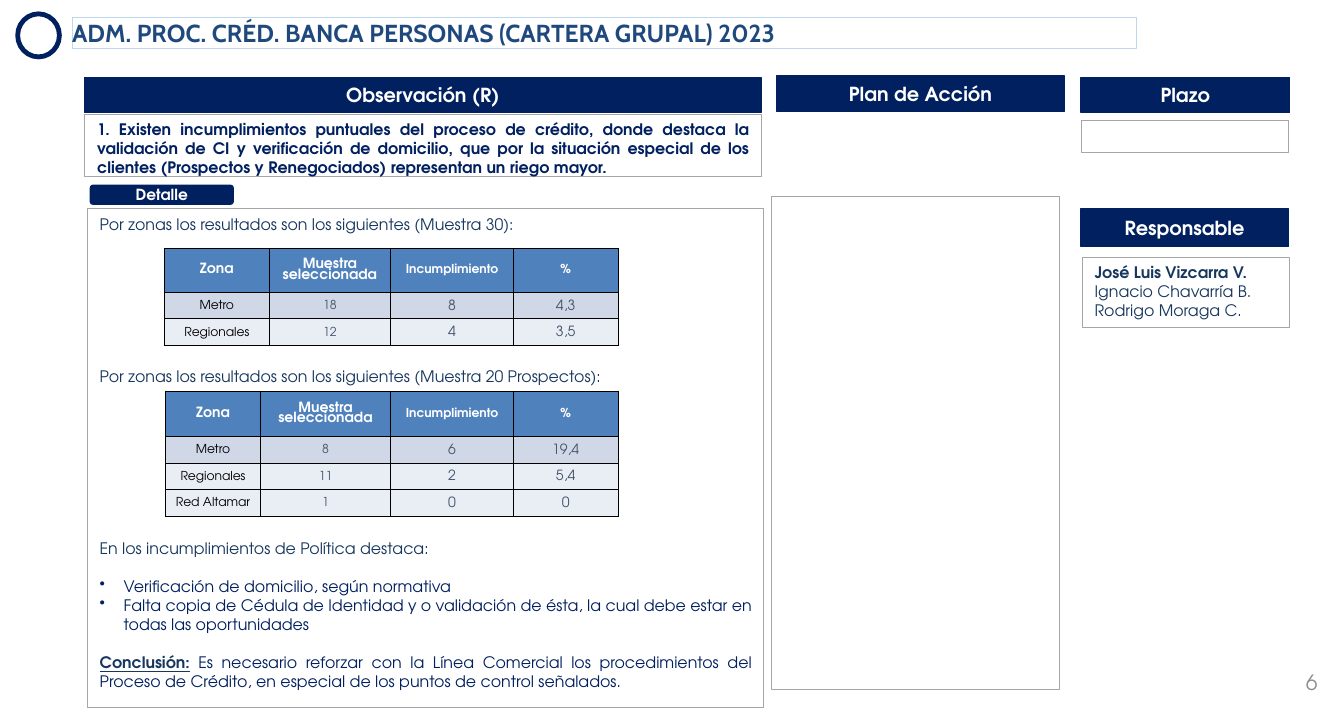
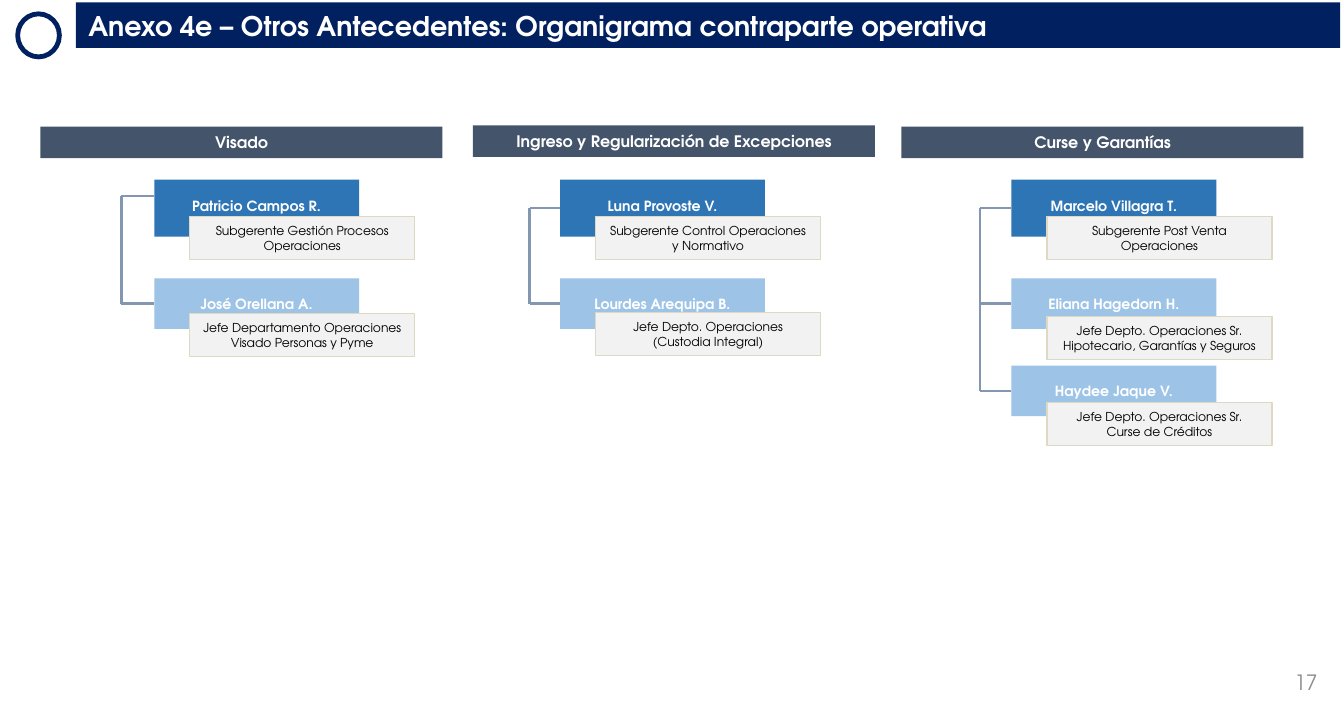
import pptx
import pptx.util
import pptx.dml.color
import pptx.enum.shapes
import pptx.enum.text
import pptx.oxml
import pptx.oxml.ns
import lxml.etree

Inches = pptx.util.Inches
Pt = pptx.util.Pt
SHAPE = pptx.enum.shapes.MSO_SHAPE
ALIGN = pptx.enum.text.PP_ALIGN
ANCHOR = pptx.enum.text.MSO_ANCHOR
FACE = "TeX Gyre Adventor"
LINE = 10.82
PAD = (0.1, 0.05, 0.1, 0.05)
FLAT = (0.1, 0, 0.1, 0)
HUES = {
    "navy": "002060", "ink": "17375E", "title": "1F497D", "white": "FFFFFF",
    "black": "000000", "edge": "A6A6A6", "sky": "BDD7EE", "page": "8C8C8C",
    "head": "4F81BD", "band": "D0D8E8", "pale": "E9EDF4", "slate": "44546A",
    "boss": "2E75B6", "staff": "9DC3E6", "note": "F2F2F2", "sand": "DDD9C3",
    "wire": "8497B0",
}


def hue(name):
    return pptx.dml.color.RGBColor.from_string(HUES[name])


def style(font, size, ink, bold=False, face=FACE):
    font.name = face
    font.size = Pt(size)
    font.bold = bold
    font.color.rgb = hue(ink)


def setup(frame, pad=PAD, anchor=ANCHOR.MIDDLE):
    frame.word_wrap = True
    frame.vertical_anchor = anchor
    (frame.margin_left, frame.margin_top,
     frame.margin_right, frame.margin_bottom) = map(Inches, pad)


def write(frame, lines, size, ink, bold=False, align=ALIGN.CENTER, face=FACE):
    for i, line in enumerate(lines):
        para = frame.paragraphs[0] if i == 0 else frame.add_paragraph()
        para.text = line
        para.alignment = align
        style(para.font, size, ink, bold, face)


def box(slide, area, fill=None, line=None, width=0.25, kind=SHAPE.RECTANGLE):
    shape = slide.shapes.add_shape(kind, *map(Inches, area))
    shape.shadow.inherit = False
    if fill:
        shape.fill.solid()
        shape.fill.fore_color.rgb = hue(fill)
    else:
        shape.fill.background()
    if line:
        shape.line.color.rgb = hue(line)
        shape.line.width = Pt(width)
    else:
        shape.line.fill.background()
    setup(shape.text_frame)
    return shape


def panel(slide, area):
    shape = box(slide, area, "white", "edge")
    setup(shape.text_frame, anchor=ANCHOR.TOP)
    return shape.text_frame


def band(slide, area, text):
    shape = box(slide, area, "navy", "navy", 0.75)
    setup(shape.text_frame, FLAT)
    write(shape.text_frame, [text], 11, "white", True)


def base(deck, page):
    slide = deck.slides.add_slide(deck.slide_layouts[6])
    box(slide, (0.14, 0.11, 0.33, 0.34), None, "navy", 2.75, SHAPE.OVAL)
    label = slide.shapes.add_textbox(*map(Inches, (9.95, 5.24, 0.57, 0.3)))
    setup(label.text_frame)
    write(label.text_frame, [page], 12, "page", align=ALIGN.RIGHT)
    return slide


def border(cell):
    props = cell._tc.get_or_add_tcPr()
    for i, side in enumerate(("lnL", "lnR", "lnT", "lnB")):
        props.insert(i, pptx.oxml.parse_xml(
            f'<a:{side} {pptx.oxml.ns.nsdecls("a")} w="6350"><a:solidFill>'
            f'<a:srgbClr val="{HUES["black"]}"/></a:solidFill></a:{side}>'))


def grid(slide, left, top, cols, first, rows):
    heads = ("Zona", "Muestra seleccionada", "Incumplimiento", "%")
    data = [heads] + rows
    highs = [first] + [0.21] * len(rows)
    area = (left, top, sum(cols), sum(highs))
    table = slide.shapes.add_table(
        len(data), len(cols), *map(Inches, area)).table
    table.horz_banding = False
    for col, wide in zip(table.columns, cols):
        col.width = Inches(wide)
    for r, (row, high) in enumerate(zip(data, highs)):
        table.rows[r].height = Inches(high)
        for c, text in enumerate(row):
            cell = table.cell(r, c)
            cell.fill.solid()
            cell.fill.fore_color.rgb = hue(("head", "band")[r] if r < 2 else "pale")
            border(cell)
            cell.vertical_anchor = ANCHOR.MIDDLE
            cell.margin_left = cell.margin_right = cell.margin_top = Inches(0.01)
            cell.margin_bottom = 0
            ink = "white" if r == 0 else "slate" if c else "black"
            size = 8 if (c < 2) == (r == 0) else 7
            write(cell.text_frame, [text], size, ink, r == 0)
            if r == 0:
                cell.text_frame.paragraphs[0].line_spacing = 0.8


def bullet(para):
    props = para._p.get_or_add_pPr()
    props.set("marL", str(Inches(0.19)))
    props.set("indent", str(-Inches(0.19)))
    mark = lxml.etree.SubElement(props, pptx.oxml.ns.qn("a:buChar"))
    mark.set("char", "•")


def detail(slide, left, top):
    frame = panel(slide, (left, top, 5.35, 3.94))
    write(frame, [
        "Por zonas los resultados son los siguientes (Muestra 30):",
        "Por zonas los resultados son los siguientes (Muestra 20 Prospectos):",
        "En los incumplimientos de Política destaca:",
        "Verificación de domicilio, según normativa",
        "Falta copia de Cédula de Identidad y o validación de ésta, la cual "
        "debe estar en todas las oportunidades",
        "",
    ], 9, "ink", align=ALIGN.JUSTIFY)
    paras = frame.paragraphs
    for para, gap in zip(paras, (0, 7, 8, 1, 0, 1)):
        para.space_before = Pt(gap * LINE)
    for para in paras[3:5]:
        para.font.color.rgb = hue("navy")
        bullet(para)
    lead = paras[5].add_run()
    lead.text = "Conclusión:"
    lead.font.bold = lead.font.underline = True
    rest = paras[5].add_run()
    rest.text = (" Es necesario reforzar con la Línea Comercial los "
                 "procedimientos del Proceso de Crédito, en especial de los "
                 "puntos de control señalados.")
    rest.font.color.rgb = hue("navy")
    for run in (lead, rest):
        run.font.name = FACE
        run.font.size = Pt(9)
    grid(slide, left + 0.61, top + 0.31, (0.83, 0.96, 0.97, 0.83), 0.35, [
        ("Metro", "18", "8", "4,3"),
        ("Regionales", "12", "4", "3,5")])
    grid(slide, left + 0.62, top + 1.44, (0.75, 1.03, 0.97, 0.83), 0.36, [
        ("Metro", "8", "6", "19,4"),
        ("Regionales", "11", "2", "5,4"),
        ("Red Altamar", "1", "0", "0")])


def finding(slide, left, top):
    band(slide, (left, top, 5.35, 0.28), "Observación (R)")
    frame = panel(slide, (left, top + 0.29, 5.35, 0.49))
    write(frame, [
        "1. Existen incumplimientos puntuales del proceso de crédito, donde "
        "destaca la validación de CI y verificación de domicilio, que por la "
        "situación especial de los clientes (Prospectos y Renegociados) "
        "representan un riego mayor."], 9, "navy", True, ALIGN.JUSTIFY)
    tag = box(slide, (left + 0.04, top + 0.85, 1.14, 0.16), "navy",
              kind=SHAPE.ROUNDED_RECTANGLE)
    setup(tag.text_frame, FLAT)
    write(tag.text_frame, ["Detalle"], 8.7, "white", True)
    detail(slide, left + 0.02, top + 1.04)


def owner(slide, left, top):
    band(slide, (left, top, 1.65, 0.28), "Plazo")
    panel(slide, (left, top + 0.34, 1.64, 0.25))
    band(slide, (left, top + 1.04, 1.64, 0.3), "Responsable")
    frame = panel(slide, (left + 0.01, top + 1.42, 1.64, 0.56))
    write(frame, ["José Luis Vizcarra V.", "Ignacio Chavarría B.",
                  "Rodrigo Moraga C."], 9, "ink", align=ALIGN.LEFT)
    frame.paragraphs[0].font.bold = True


def audit(deck):
    slide = base(deck, "6")
    title = box(slide, (0.57, 0.14, 8.42, 0.24), None, "sky", 0.5)
    setup(title.text_frame, (0, 0, 0, 0), ANCHOR.TOP)
    write(title.text_frame,
          ["ADM. PROC. CRÉD. BANCA PERSONAS (CARTERA GRUPAL) 2023"],
          14, "title", True, ALIGN.LEFT, "Cabin")
    finding(slide, 0.67, 0.61)
    band(slide, (6.14, 0.6, 2.28, 0.28), "Plan de Acción")
    panel(slide, (6.1, 1.55, 2.28, 3.9))
    owner(slide, 8.55, 0.61)


def wire(slide, x1, y1, x2, y2, goal=None):
    line = slide.shapes.add_connector(
        pptx.enum.shapes.MSO_CONNECTOR.STRAIGHT, *map(Inches, (x1, y1, x2, y2)))
    line.line.color.rgb = hue("wire")
    line.line.width = Pt(1.5)
    lxml.etree.SubElement(line._element.spPr, pptx.oxml.ns.qn("a:effectLst"))
    if goal:
        line.end_connect(goal, 1)


def card(slide, left, top, high, fill, name, role, drop):
    shape = box(slide, (left, top, 1.62, high), fill)
    if fill == "boss":
        setup(shape.text_frame, (0.1, 0.05, 0.1, 0.08))
    write(shape.text_frame, [name], 8, "white", True)
    note = box(slide, (left + 0.28, top + drop, 1.78, 0.34),
               "note", "sand", 0.75)
    write(note.text_frame, role, 7, "black")
    return shape


def branch(slide, left, top, name, inset, stem, arm, cards):
    head = box(slide, (left, top, 3.18, 0.25), "slate")
    write(head.text_frame, [name], 9, "white", True)
    ends = []
    for i, (y, drop, who, role) in enumerate(cards):
        high, fill = (0.4, "staff") if i else (0.45, "boss")
        shape = card(slide, left + inset, y, high, fill, who, role, drop)
        mid = y + high / 2
        joint = mid if i or arm is None else arm
        wire(slide, left + stem, joint, left + inset, joint,
             shape if joint == mid else None)
        ends.append(joint)
    wire(slide, left + stem, ends[0], left + stem, ends[-1])


def chart(deck):
    slide = base(deck, "17")
    title = box(slide, (0.6, 0.02, 10, 0.36), "navy")
    write(title.text_frame,
          ["Anexo 4e – Otros Antecedentes: Organigrama contraparte operativa"],
          15.4, "white", True, ALIGN.LEFT)
    branch(slide, 0.32, 1, "Visado", 0.9, 0.64, 1.55, [
        (1.42, 0.29, "Patricio Campos R.",
         ["Subgerente Gestión Procesos Operaciones"]),
        (2.2, 0.28, "José Orellana A.",
         ["Jefe Departamento Operaciones Visado Personas y Pyme"])])
    branch(slide, 3.74, 0.99, "Ingreso y Regularización de Excepciones",
           0.69, 0.45, None, [
               (1.42, 0.29, "Luna Provoste V.",
                ["Subgerente Control Operaciones y Normativo"]),
               (2.2, 0.27, "Lourdes Arequipa B.",
                ["Jefe Depto. Operaciones", "(Custodia Integral)"])])
    branch(slide, 7.13, 1, "Curse y Garantías", 0.87, 0.62, None, [
        (1.42, 0.29, "Marcelo Villagra T.",
         ["Subgerente Post Venta Operaciones"]),
        (2.2, 0.3, "Eliana Hagedorn H.",
         ["Jefe Depto. Operaciones Sr. Hipotecario, Garantías y Seguros"]),
        (2.89, 0.29, "Haydee Jaque V.",
         ["Jefe Depto. Operaciones Sr.", "Curse de Créditos"])])


def main():
    deck = pptx.Presentation()
    deck.slide_width = Inches(10.63)
    deck.slide_height = Inches(5.62)
    audit(deck)
    chart(deck)
    deck.save("out.pptx")


if __name__ == "__main__":
    main()
